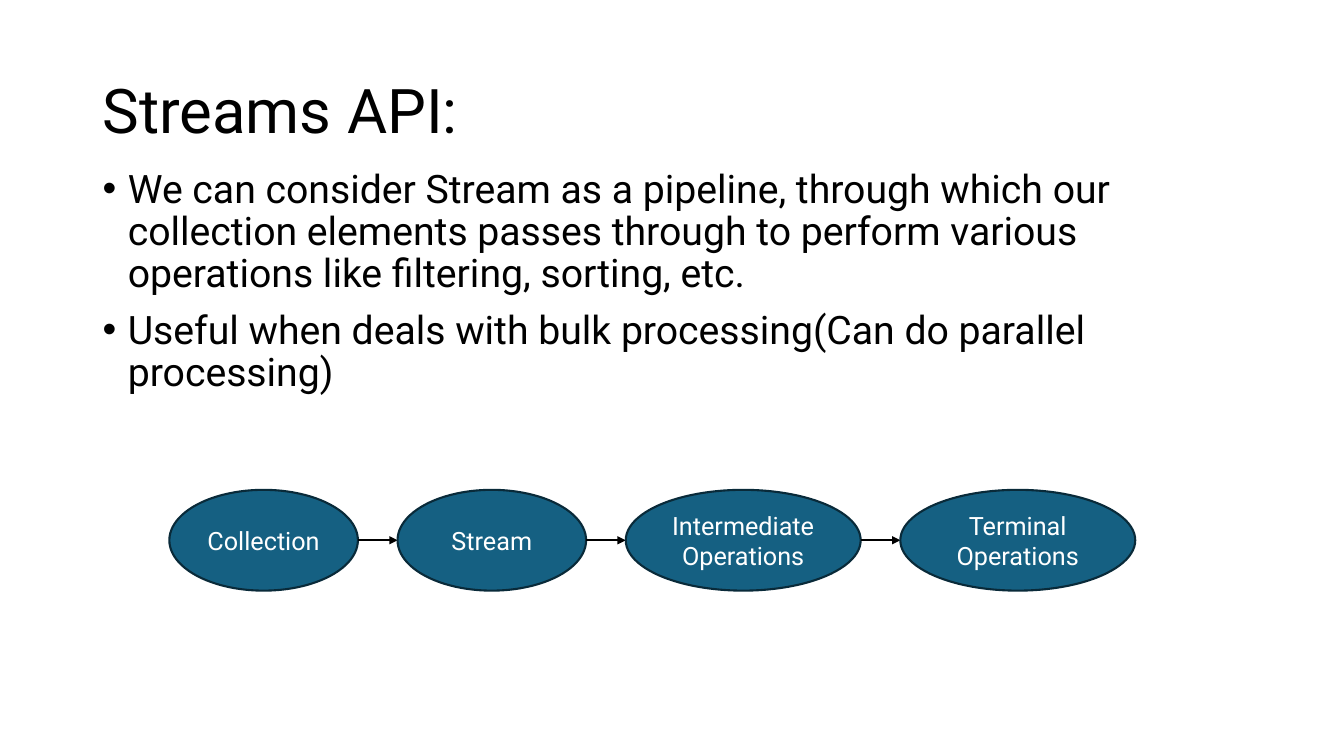
from dataclasses import dataclass

from lxml.etree import SubElement
from pptx import Presentation
from pptx.dml.color import RGBColor
from pptx.enum.shapes import MSO_CONNECTOR, MSO_SHAPE
from pptx.enum.text import MSO_ANCHOR as Anchor, MSO_AUTO_SIZE as AutoSize, PP_ALIGN as Align
from pptx.oxml.ns import qn
from pptx.util import Inches, Pt


@dataclass(frozen=True)
class Theme:
    font: str = "Roboto"
    ink: str = "000000"
    light: str = "FFFFFF"
    fill: str = "156082"
    edge: str = "092A39"
    title_size: int = 44
    body_size: int = 28
    stage_size: int = 18
    line_width: float = 1.5


THEME = Theme()
TITLE = "Streams API:"
POINTS = [
    "We can consider Stream as a pipeline, through which our collection elements "
    "passes through to perform various operations like filtering, sorting, etc.",
    "Useful when deals with bulk processing(Can do parallel processing)",
]
STAGES = [  # label, width in inches
    ("Collection", 1.87),
    ("Stream", 1.87),
    ("Intermediate Operations", 2.33),
    ("Terminal Operations", 2.33),
]


def color(value):
    return RGBColor.from_string(value)


def write(frame, *lines, size, ink=THEME.ink, align=Align.LEFT, anchor=Anchor.TOP,
          spacing=1.0, before=0, bullet=False):
    """Fill a text frame with one paragraph per line."""
    frame.word_wrap = True
    frame.auto_size = AutoSize.NONE
    frame.vertical_anchor = anchor
    for index, line in enumerate(lines):
        para = frame.paragraphs[0] if index == 0 else frame.add_paragraph()
        para.alignment = align
        para.line_spacing = spacing
        para.space_before = Pt(before)
        span = para.add_run()
        span.text = line
        span.font.name = THEME.font
        span.font.size = Pt(size)
        span.font.color.rgb = color(ink)
        if bullet:
            props = para._p.get_or_add_pPr()
            props.set("marL", str(Inches(0.25)))
            props.set("indent", str(Inches(-0.25)))
            SubElement(props, qn("a:buFont")).set("typeface", "Arial")
            SubElement(props, qn("a:buChar")).set("char", "•")


def place_title(page, left, top, width, height):
    title = page.shapes.title
    title.left, title.top = Inches(left), Inches(top)
    title.width, title.height = Inches(width), Inches(height)
    write(title.text_frame, TITLE, size=THEME.title_size, anchor=Anchor.MIDDLE, spacing=0.9)


def add_points(page, left, top, width, height):
    box = page.shapes.add_textbox(Inches(left), Inches(top), Inches(width), Inches(height))
    write(box.text_frame, *POINTS, size=THEME.body_size, spacing=0.9, before=10, bullet=True)


def add_stage(page, label, left, top, width, height):
    stage = page.shapes.add_shape(
        MSO_SHAPE.OVAL, Inches(left), Inches(top), Inches(width), Inches(height))
    stage.shadow.inherit = False
    stage.fill.solid()
    stage.fill.fore_color.rgb = color(THEME.fill)
    stage.line.color.rgb = color(THEME.edge)
    stage.line.width = Pt(THEME.line_width)
    write(stage.text_frame, label, size=THEME.stage_size, ink=THEME.light,
          align=Align.CENTER, anchor=Anchor.MIDDLE)


def add_arrow(page, start, end, middle):
    arrow = page.shapes.add_connector(
        MSO_CONNECTOR.STRAIGHT, Inches(start), Inches(middle), Inches(end), Inches(middle))
    arrow.line.color.rgb = color(THEME.ink)
    arrow.line.width = Pt(THEME.line_width)
    SubElement(arrow.line._get_or_add_ln(), qn("a:tailEnd")).set("type", "triangle")
    SubElement(arrow._element.spPr, qn("a:effectLst"))


def add_pipeline(page, left, top, width, height):
    # Equal gaps share the width that the stages leave free
    gap = (width - sum(size for _, size in STAGES)) / (len(STAGES) - 1)
    for index, (label, size) in enumerate(STAGES):
        if index:
            add_arrow(page, left - gap, left, top + height / 2)
        add_stage(page, label, left, top, size, height)
        left += size + gap


def main():
    deck = Presentation()
    deck.slide_width, deck.slide_height = Inches(13.33), Inches(7.5)
    page = deck.slides.add_slide(deck.slide_layouts[5])  # title only

    place_title(page, 0.92, 0.4, 11.5, 1.45)
    add_points(page, 0.92, 1.63, 11.5, 2.73)
    add_pipeline(page, 1.68, 4.86, 9.58, 1)

    deck.save("out.pptx")


if __name__ == "__main__":
    main()
